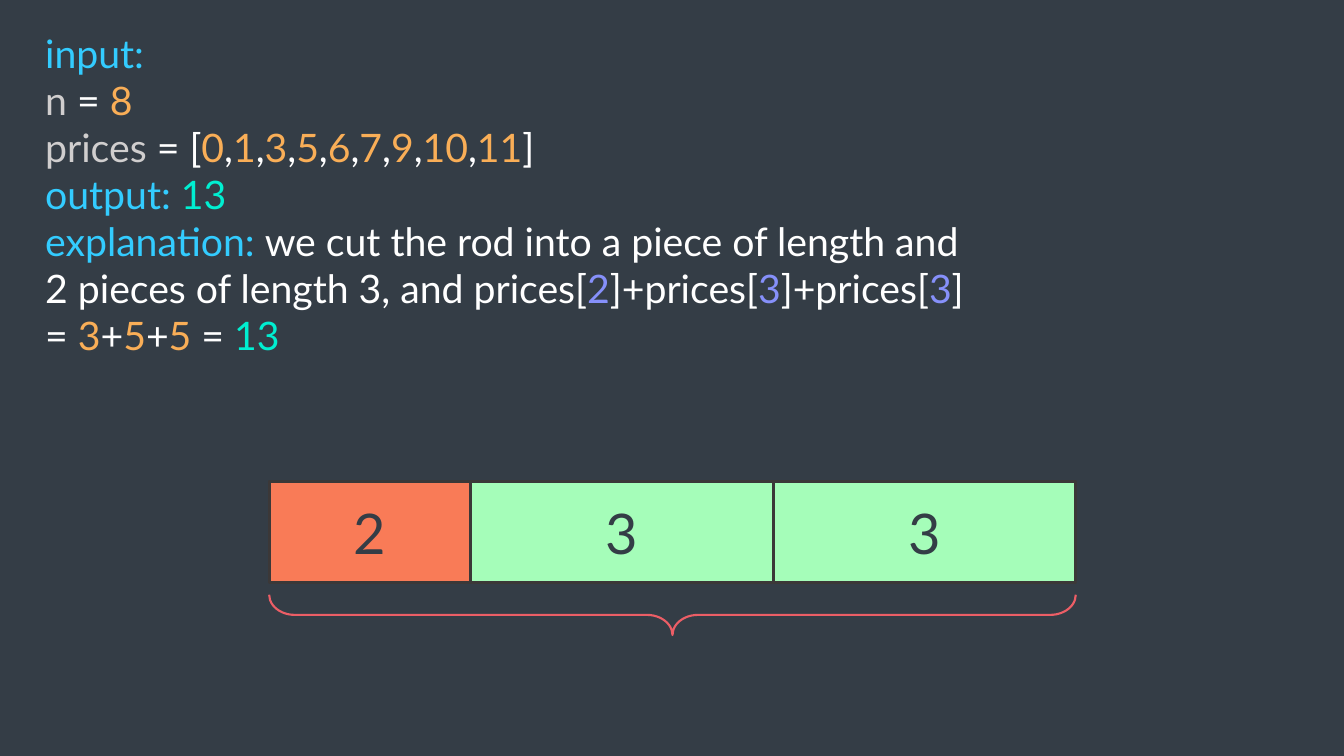
import pptx
import pptx.dml.color
import pptx.enum.shapes
import pptx.enum.text
import pptx.util
from pptx.util import Inches

FONT = "Lato"
BACKGROUND = "343D46"
LABEL = "33CCFF"
VARIABLE = "D0CECE"
PLAIN = "FFFFFF"
PRICE = "F9AE57"
INDEX = "8690FA"
RESULT = "00EFD1"
ROD = "767171"
ROD_EDGE = "3B3838"
BRACE = "EC5E66"
PIECE_FILLS = {2: "F97B57", 3: "A5FDB9"}

PRICES = [0, 1, 3, 5, 6, 7, 9, 10, 11]
PIECES = [2, 3, 3]
ROD_LEFT, ROD_TOP, ROD_HEIGHT = 2.67, 4.78, 1
BRACE_TOP, BRACE_DEPTH = 5.9, 0.4


def rgb(hex_colour):
    return pptx.dml.color.RGBColor.from_string(hex_colour)


def style_run(run, size, colour):
    run.font.name = FONT
    run.font.size = pptx.util.Pt(size)
    run.font.color.rgb = rgb(colour)


def joined(values, colour, separator):
    """Coloured values with plain separators between them."""
    parts = []
    for value in values:
        parts += [(separator, PLAIN), (str(value), colour)]
    return parts[1:]


def add_example(slide, lines):
    """Each line is a list of (text, colour) parts."""
    example = slide.shapes.add_textbox(
        Inches(0.35), Inches(0.24), Inches(9.5), Inches(3.4))
    frame = example.text_frame
    frame.word_wrap = True
    for number, parts in enumerate(lines):
        paragraph = frame.add_paragraph() if number else frame.paragraphs[0]
        for text, colour in parts:
            run = paragraph.add_run()
            run.text = text
            style_run(run, 28, colour)


def add_bar(slide, left, length, fill, label=None):
    bar = slide.shapes.add_shape(
        pptx.enum.shapes.MSO_SHAPE.RECTANGLE,
        Inches(left), Inches(ROD_TOP), Inches(length), Inches(ROD_HEIGHT))
    bar.shadow.inherit = False
    bar.fill.solid()
    bar.fill.fore_color.rgb = rgb(fill)
    bar.line.color.rgb = rgb(ROD_EDGE)
    bar.line.width = pptx.util.Pt(2.25)
    if label:
        frame = bar.text_frame
        frame.text = label
        frame.vertical_anchor = pptx.enum.text.MSO_ANCHOR.MIDDLE
        paragraph = frame.paragraphs[0]
        paragraph.alignment = pptx.enum.text.PP_ALIGN.CENTER
        style_run(paragraph.runs[0], 40, BACKGROUND)


def add_brace_below(slide, left, top, length):
    """A left brace turned to lie flat, so its frame is upright."""
    brace = slide.shapes.add_shape(
        pptx.enum.shapes.MSO_SHAPE.LEFT_BRACE,
        Inches(left + (length - BRACE_DEPTH) / 2),
        Inches(top - (length - BRACE_DEPTH) / 2),
        Inches(BRACE_DEPTH), Inches(length))
    brace.rotation = 270
    brace.adjustments[0] = 0.635
    brace.adjustments[1] = 0.5
    brace.shadow.inherit = False
    brace.fill.background()
    brace.line.color.rgb = rgb(BRACE)
    brace.line.width = pptx.util.Pt(1.5)


def main():
    deck = pptx.Presentation()
    deck.slide_width, deck.slide_height = Inches(13.33), Inches(7.5)
    slide = deck.slides.add_slide(deck.slide_layouts.get_by_name("Blank"))
    slide.background.fill.solid()
    slide.background.fill.fore_color.rgb = rgb(BACKGROUND)

    rod_length = sum(PIECES)
    piece_prices = [PRICES[piece] for piece in PIECES]
    best = str(sum(piece_prices))
    add_example(slide, [
        [("input:", LABEL)],
        [("n", VARIABLE), (" = ", PLAIN), (str(rod_length), PRICE)],
        [("prices", VARIABLE), (" = [", PLAIN),
         *joined(PRICES, PRICE, ","), ("]", PLAIN)],
        [("output: ", LABEL), (best, RESULT)],
        [("explanation: ", LABEL),
         ("we cut the rod into a piece of length and "
          "2 pieces of length 3, and prices[", PLAIN),
         *joined(PIECES, INDEX, "]+prices["), ("] = ", PLAIN),
         *joined(piece_prices, PRICE, "+"), (" = ", PLAIN), (best, RESULT)],
    ])

    add_bar(slide, ROD_LEFT, rod_length, ROD)
    left = ROD_LEFT
    for piece in PIECES:
        add_bar(slide, left, piece, PIECE_FILLS[piece], str(piece))
        left += piece
    add_brace_below(slide, ROD_LEFT, BRACE_TOP, rod_length)

    deck.save("out.pptx")


if __name__ == "__main__":
    main()
